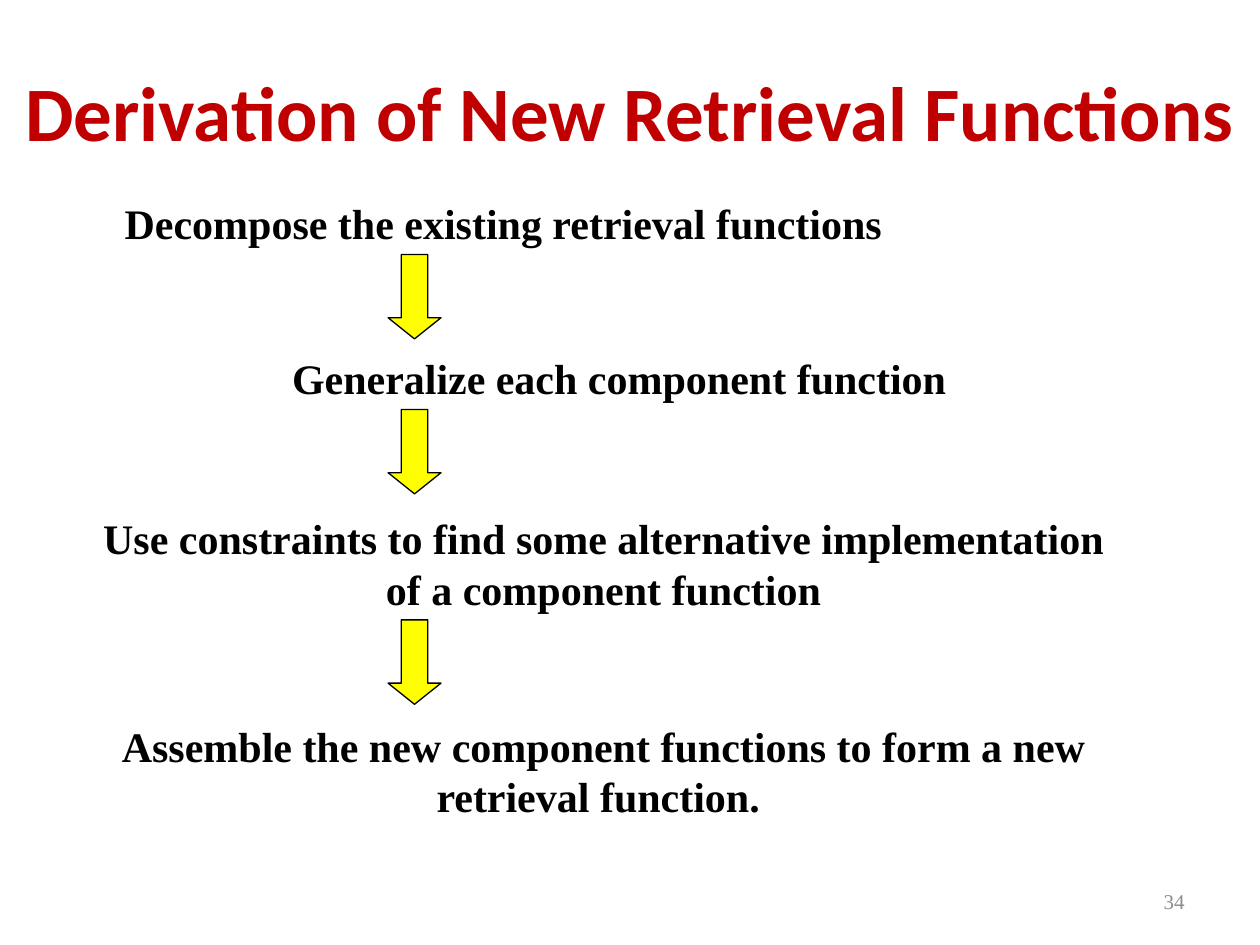
from pptx import Presentation
from pptx.dml.color import RGBColor
from pptx.enum.shapes import MSO_SHAPE as Shape
from pptx.enum.text import MSO_ANCHOR as Anchor, PP_ALIGN as Align
from pptx.util import Emu, Pt

PX = 9144  # EMU in one px, 100 px to the inch
HUES = {"title": "C00000", "text": "000000", "arrow": "FFFF00",
        "line": "000000", "page": "8C8C8C"}

# Step text with left, top, width and height of its box
STEPS = [
    ("Decompose the existing retrieval functions", (58, 152, 683, 50)),
    ("Generalize each component function", (58, 275, 867, 50)),
    ("Use constraints to find some alternative implementation "
     "of a component function", (58, 402, 842, 90)),
    ("Assemble the new component functions to form a new "
     "retrieval function. ", (58, 567, 842, 90)),
]


def px(*nums):
    return [Emu(num * PX) for num in nums]


def hue(name):
    return RGBColor.from_string(HUES[name])


def write(shape, text, size=24, font="Times New Roman", color="text",
          bold=True, align=Align.CENTER, anchor=Anchor.TOP):
    frame = shape.text_frame
    frame.word_wrap = True
    frame.vertical_anchor = anchor
    para = frame.paragraphs[0]
    para.alignment = align
    run = para.add_run()
    run.text = text
    run.font.size = Pt(size)
    run.font.name = font
    run.font.bold = bold
    run.font.color.rgb = hue(color)


def add_title(slide, text, box):
    title = slide.shapes.title
    title.left, title.top, title.width, title.height = px(*box)
    write(title, text, size=44, font="Calibri", color="title",
          anchor=Anchor.MIDDLE)


def add_text(slide, text, box, **style):
    write(slide.shapes.add_textbox(*px(*box)), text, **style)


def add_arrow(slide, top):
    arrow = slide.shapes.add_shape(Shape.DOWN_ARROW, *px(308, top, 42, 67))
    arrow.adjustments[0] = 0.5
    arrow.adjustments[1] = 0.4
    arrow.shadow.inherit = False
    arrow.fill.solid()
    arrow.fill.fore_color.rgb = hue("arrow")
    arrow.line.color.rgb = hue("line")
    arrow.line.width = Pt(0.75)


def main():
    deck = Presentation()
    deck.slide_width, deck.slide_height = px(1000, 750)
    slide = deck.slides.add_slide(deck.slide_layouts[5])  # title only

    add_title(slide, "Derivation of New Retrieval Functions",
              (0, 25, 1000, 125))

    # Steps, with an arrow below each but the last
    for text, box in STEPS:
        add_text(slide, text, box)
    for _, (_, top, _, height) in STEPS[:-1]:
        add_arrow(slide, top + height)

    # Page number
    add_text(slide, "34", (717, 695, 233, 40), size=12, color="page",
             bold=False, align=Align.RIGHT, anchor=Anchor.MIDDLE)

    deck.save("out.pptx")


if __name__ == "__main__":
    main()
